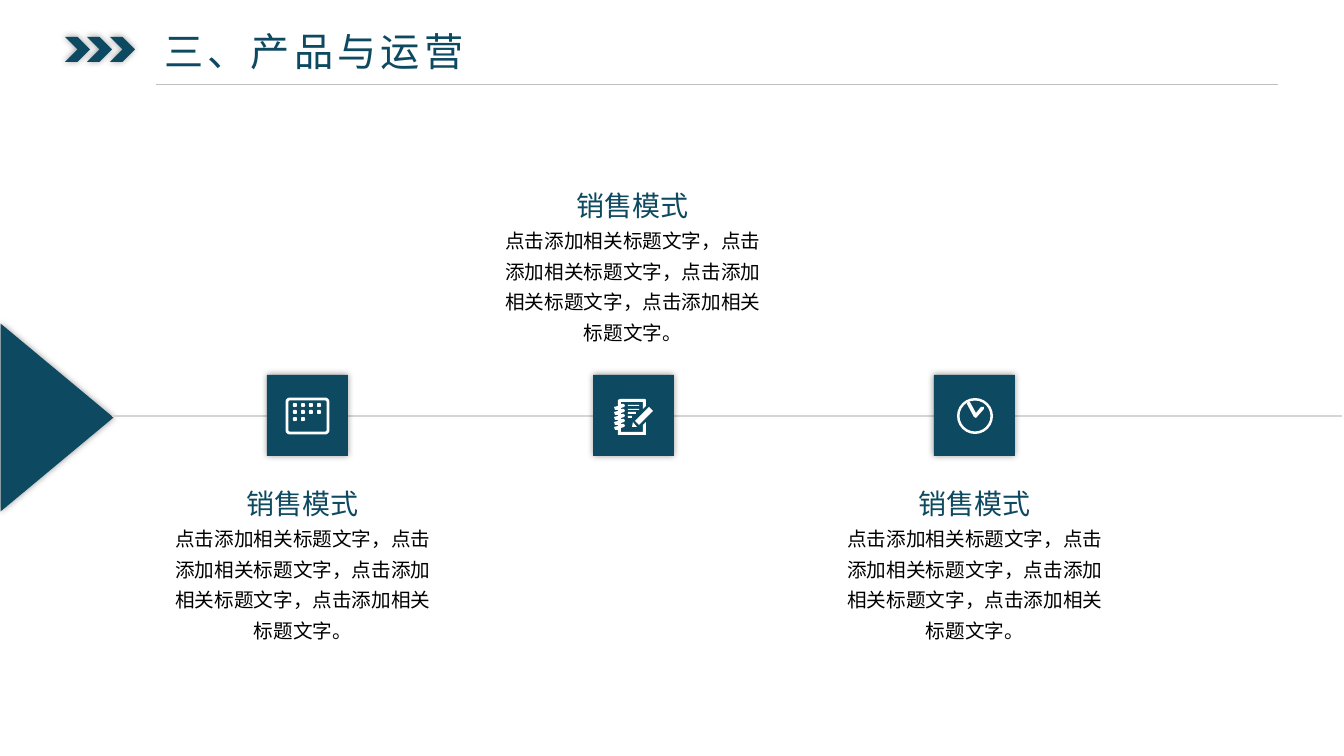
from lxml import etree
from pptx import Presentation
from pptx import util as u
from pptx.dml.color import RGBColor
from pptx.enum import shapes, text
from pptx.oxml.ns import qn

# Content
TITLE = "三、产品与运营"
DETAIL = "点击添加相关标题文字，" * 3 + "点击添加相关标题文字。"
STEPS = [  # tile left, caption left, caption top: all px
    dict(icon="calendar", heading="销售模式", detail=DETAIL, tile=267, left=165, top=471),
    dict(icon="notebook", heading="销售模式", detail=DETAIL, tile=593, left=495, top=173),
    dict(icon="clock", heading="销售模式", detail=DETAIL, tile=934, left=837, top=471),
]

# Theme
THEME = dict(
    teal="0D4960", white="FFFFFF", black="000000", rule="BFBFBF", axis="D5D5D5",
    heading_font="Noto Sans CJK JP", body_font="Noto Sans CJK SC",
    title_size=28, heading_size=20, body_size=14,
)
PX = 914400 / 100.8
TILE_TOP, TILE, AXIS_Y = 375, 81, 416
CAPTION_W, HEADING_W, HEADING_H, DETAIL_H = 276, 133, 50, 134
PRESET = shapes.MSO_SHAPE


def px(n):
    return u.Emu(round(n * PX))


def rgb(name):
    return RGBColor.from_string(THEME[name])


def write(box, words, *, size, font, color, align, spacing=None, tracking=None,
          wrap=True, grow=True, inset=(10, 5)):
    frame = box.text_frame
    frame.text = words
    frame.word_wrap = wrap
    frame.auto_size = (text.MSO_AUTO_SIZE.SHAPE_TO_FIT_TEXT if grow
                       else text.MSO_AUTO_SIZE.NONE)
    frame.margin_left = frame.margin_right = px(inset[0])
    frame.margin_top = frame.margin_bottom = px(inset[1])
    paragraph = frame.paragraphs[0]
    paragraph.alignment = align
    if spacing:
        paragraph.line_spacing = spacing
    run = paragraph.runs[0]
    run.font.size = u.Pt(THEME[size])
    run.font.name = THEME[font]
    run.font.color.rgb = rgb(color)
    props = run.font._element
    etree.SubElement(props, qn("a:ea"), typeface=THEME[font])
    if tracking:
        props.set("spc", str(tracking * 100))


def paint(shape, color, shadow=False):
    shape.shadow.inherit = False
    shape.fill.solid()
    shape.fill.fore_color.rgb = rgb(color)
    shape.line.fill.background()
    if shadow:
        effects = shape._element.spPr.find(qn("a:effectLst"))
        outer = etree.SubElement(effects, qn("a:outerShdw"), blurRad=str(u.Pt(5)),
                                 dist="0", dir="0", algn="ctr", rotWithShape="0")
        tint = etree.SubElement(outer, qn("a:srgbClr"), val=THEME["black"])
        etree.SubElement(tint, qn("a:alpha"), val="40000")
    return shape


def preset(kind, left, top, width, height, color, shadow=False):
    shape = slide.shapes.add_shape(kind, px(left), px(top), px(width), px(height))
    return paint(shape, color, shadow)


def outline(left, top, contours, color):
    first, *rest = contours
    builder = slide.shapes.build_freeform(*first[0], scale=PX)
    builder.add_line_segments(first[1:], close=True)
    for contour in rest:
        builder.move_to(*contour[0])
        builder.add_line_segments(contour[1:], close=True)
    return paint(builder.convert_to_shape(px(left), px(top)), color)


def rule(x1, x2, y, color, weight):
    line = slide.shapes.add_connector(shapes.MSO_CONNECTOR.STRAIGHT,
                                      px(x1), px(y), px(x2), px(y))
    line.line.color.rgb = rgb(color)
    line.line.width = u.Pt(weight)
    etree.SubElement(line._element.spPr, qn("a:effectLst"))


# Icons, each placed from the corner of its tile
def calendar(left, top):
    page = preset(PRESET.ROUNDED_RECTANGLE, left + 20, top + 24, 41, 34, "white")
    page.adjustments[0] = 0.08
    page.fill.background()
    page.line.color.rgb = rgb("white")
    page.line.width = u.Pt(2)
    for row, days in enumerate((4, 4, 2)):
        for day in range(days):
            dot = preset(PRESET.ROUNDED_RECTANGLE, left + 26 + 8 * day,
                         top + 28 + 7 * row, 4, 4, "white")
            dot.adjustments[0] = 0.3


def notebook(left, top):
    page = [(6, 0), (31, 0), (32, 1), (32, 7), (29, 10), (29, 3), (7, 3)]
    for y in range(5, 26, 5):
        page += [(7, y), (10, y), (11, y + 2), (10, y + 3), (7, y + 4)]
    page += [(7, 33), (29, 33), (29, 26), (32, 23), (32, 36), (4, 36)]
    for y in range(31, 10, -5):
        page += [(4, y), (1, y), (0, y - 3), (4, y - 4)]
    page += [(4, 1)]
    lines = [[(14, y), (14 + w, y), (14 + w, y + h), (14, y + h)]
             for y, w, h in ((6, 11, 1), (10, 11, 1), (13, 8, 2), (17, 4, 2))]
    nib = [(18, 28), (23, 28), (19, 23)]
    pencil = [(35, 8), (21, 22), (25, 26), (39, 12)]
    outline(left + 21, top + 24, [page, *lines, nib, pencil], "white")


def clock(left, top):
    dial = preset(PRESET.DONUT, left + 23, top + 23, 36, 36, "white")
    dial.adjustments[0] = 0.07
    hands = [(11, 3), (13, 4), (19, 15), (24, 9), (27, 9), (27, 11),
             (20, 19), (19, 20), (17, 19), (10, 6)]
    outline(left + 23, top + 23, [hands], "white")


ICONS = dict(calendar=calendar, notebook=notebook, clock=clock)

prs = Presentation()
prs.slide_width, prs.slide_height = px(1344), px(756)
slide = prs.slides.add_slide(prs.slide_layouts[5])

# Title bar
title = slide.shapes.title
title.left, title.top, title.width, title.height = px(156), px(23), px(585), px(55)
write(title, TITLE, size="title_size", font="heading_font", color="teal",
      align=text.PP_ALIGN.LEFT, tracking=3, grow=False, inset=(8, 4))
title.text_frame.vertical_anchor = text.MSO_ANCHOR.MIDDLE
for i in range(3):
    preset(PRESET.CHEVRON, 65 + 45 * i // 2, 37, 25, 25, "teal", shadow=True)
rule(156, 1278, 84, "rule", 0.5)

# Timeline
pointer = preset(PRESET.ISOSCELES_TRIANGLE, -37, 361, 188, 113, "teal", shadow=True)
pointer.rotation = 90
rule(112, 1342, AXIS_Y, "axis", 1)

# Steps
for step in STEPS:
    preset(PRESET.RECTANGLE, step["tile"], TILE_TOP, TILE, TILE, "teal", shadow=True)
    ICONS[step["icon"]](step["tile"], TILE_TOP)
    heading = slide.shapes.add_textbox(
        px(step["left"] + (CAPTION_W - HEADING_W) // 2), px(step["top"]),
        px(HEADING_W), px(HEADING_H))
    write(heading, step["heading"], size="heading_size", font="heading_font",
          color="teal", align=text.PP_ALIGN.CENTER, spacing=1.3, wrap=False)
    detail = slide.shapes.add_textbox(px(step["left"]), px(step["top"] + 44),
                                      px(CAPTION_W), px(DETAIL_H))
    write(detail, step["detail"], size="body_size", font="body_font",
          color="black", align=text.PP_ALIGN.CENTER, spacing=1.3)

prs.save("out.pptx")
